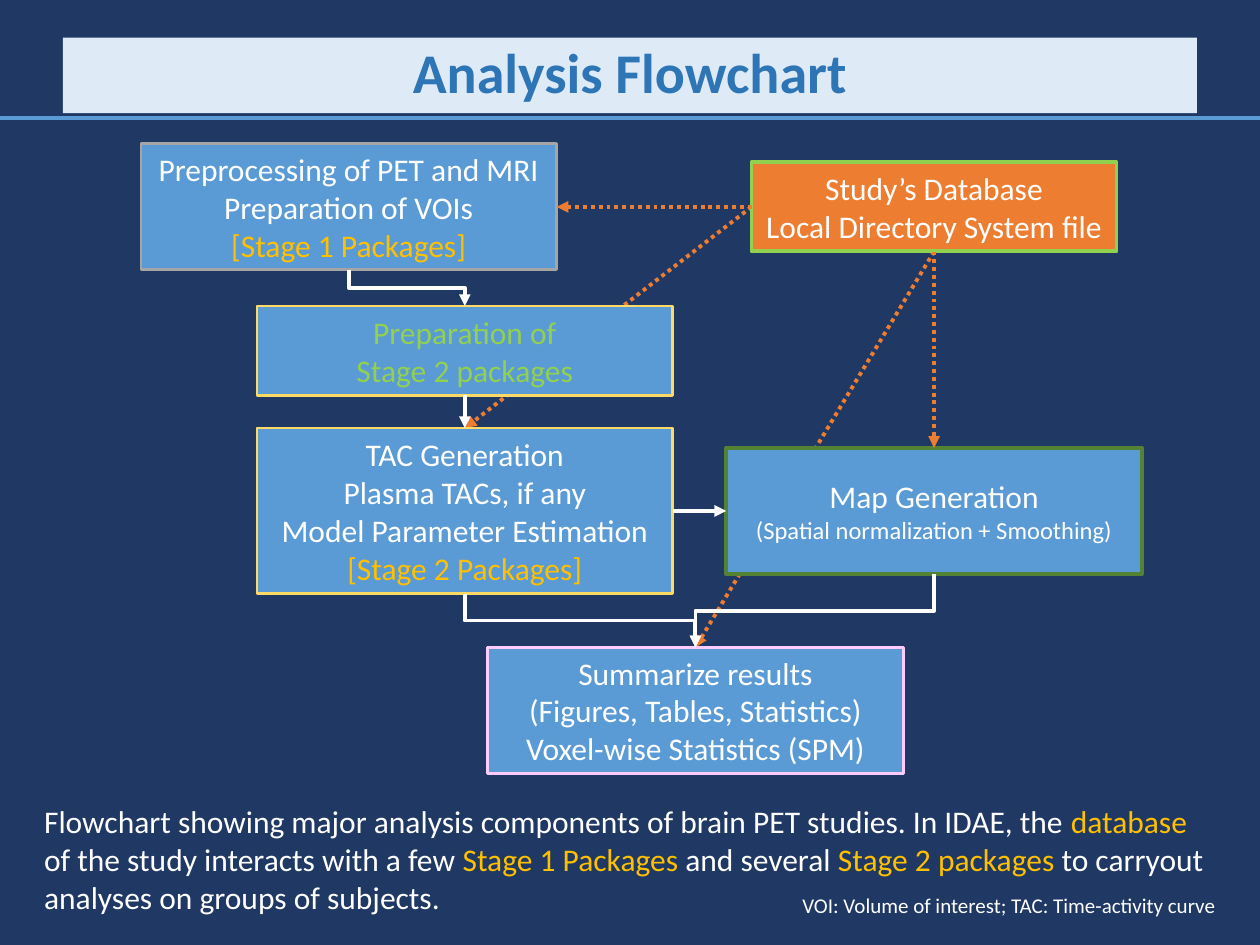
from pptx import Presentation
from pptx.dml.color import RGBColor
from pptx.enum.dml import MSO_LINE_DASH_STYLE as Dash
from pptx.enum.shapes import MSO_CONNECTOR as Conn, MSO_SHAPE as Shape
from pptx.enum.text import MSO_ANCHOR as Anchor, PP_ALIGN as Align
from pptx.oxml.ns import qn
from pptx.util import Cm, Pt
from lxml.etree import SubElement

COLORS = {
    "navy": "203864", "blue": "5B9BD5", "pale": "DEEBF7", "title": "2E75B6",
    "white": "FFFFFF", "gold": "FFC000", "lime": "92D050", "orange": "ED7D31",
    "grey": "A5A5A5", "yellow": "FFD966", "green": "548235", "pink": "FFCCFF",
}
TOP, LEFT, BOTTOM, RIGHT = range(4)


def rgb(name):
    return RGBColor.from_string(COLORS[name])


def write(tf, paras, size=18, color="white", bold=False, align=Align.CENTER,
          anchor=Anchor.MIDDLE, spacing=None, wrap=True):
    """Fill a text frame; a paragraph is a list of (text, format overrides)."""
    tf.word_wrap, tf.vertical_anchor = wrap, anchor
    for i, runs in enumerate(paras):
        p = tf.add_paragraph() if i else tf.paragraphs[0]
        p.alignment = align
        if spacing:
            p.line_spacing = spacing
        for text, fmt in [(runs, {})] if isinstance(runs, str) else runs:
            r = p.add_run()
            r.text = text
            r.font.name, r.font.bold = "Calibri", bold
            r.font.size = Pt(fmt.get("size", size))
            r.font.color.rgb = rgb(fmt.get("color", color))


def site(sp, side):
    """Middle of one side of a box."""
    x = {LEFT: 0, RIGHT: sp.width}.get(side, sp.width // 2)
    y = {TOP: 0, BOTTOM: sp.height}.get(side, sp.height // 2)
    return sp.left + x, sp.top + y


class Flowchart:
    def __init__(self, slide):
        self.s = slide
        slide.background.fill.solid()
        slide.background.fill.fore_color.rgb = rgb("navy")

    def box(self, x, y, w, h, paras, fill="blue", line=None, weight=1.5, **fmt):
        sp = self.s.shapes.add_shape(Shape.RECTANGLE, Cm(x), Cm(y), Cm(w), Cm(h))
        sp.shadow.inherit = False
        sp.fill.solid()
        sp.fill.fore_color.rgb = rgb(fill)
        if line:
            sp.line.color.rgb, sp.line.width = rgb(line), Pt(weight)
        else:
            sp.line.fill.background()
        write(sp.text_frame, paras, **fmt)
        return sp

    def text(self, x, y, w, h, paras, **fmt):
        sp = self.s.shapes.add_textbox(Cm(x), Cm(y), Cm(w), Cm(h))
        write(sp.text_frame, paras, anchor=Anchor.TOP, **fmt)

    def line(self, kind, start, end, color, arrow=True):
        cxn = self.s.shapes.add_connector(kind, *start, *end)
        cxn.line.color.rgb, cxn.line.width = rgb(color), Pt(2.25)
        if arrow:
            SubElement(cxn.line._get_or_add_ln(), qn("a:tailEnd"), type="triangle")
        SubElement(cxn._element.spPr, qn("a:effectLst"))
        return cxn

    def arrow(self, a, a_side, b, b_side, color="white", dotted=False, behind=False):
        cxn = self.line(Conn.STRAIGHT, site(a, a_side), site(b, b_side), color)
        cxn.begin_connect(a, a_side)
        cxn.end_connect(b, b_side)
        if dotted:
            cxn.line.dash_style = Dash.ROUND_DOT
        if behind:
            self.s.shapes._spTree.insert(2, cxn._element)

    def elbow(self, a, b):
        """Down, across and down again: an elbow turned by a quarter."""
        (x1, y1), (x2, y2) = site(a, BOTTOM), site(b, TOP)
        w, h = y2 - y1, abs(x2 - x1)
        left, top = (x1 + x2 - w) // 2, (y1 + y2 - h) // 2
        cxn = self.line(Conn.ELBOW, (left, top), (left + w, top + h), "white")
        xfrm = cxn._element.spPr.find(qn("a:xfrm"))
        if x2 > x1:
            xfrm.set("rot", "16200000")
            xfrm.set("flipH", "1")
        else:
            xfrm.set("rot", "5400000")


def main():
    prs = Presentation()
    prs.slide_width, prs.slide_height = Cm(25.4), Cm(19.05)
    chart = Flowchart(prs.slides.add_slide(prs.slide_layouts[6]))
    gold = {"color": "gold"}

    # Title and rule
    chart.line(Conn.STRAIGHT, (0, Cm(2.38)), (prs.slide_width, Cm(2.38)), "blue", arrow=False)
    chart.box(1.27, 0.76, 22.86, 1.52, ["Analysis Flowchart"], fill="pale",
              size=32, color="title", bold=True, spacing=0.9)

    # Boxes
    w, h = 8.38, 2.54
    stage1 = chart.box(2.84, 2.9, w, h, [
        "Preprocessing of PET and MRI", "Preparation of VOIs",
        [("[Stage 1 Packages]", gold)]], line="grey")
    prep = chart.box(5.18, 6.17, w, 1.8, ["Preparation of", "Stage 2 packages"],
                     line="yellow", color="lime")
    tac = chart.box(5.18, 8.63, w, 3.34, [
        "TAC Generation", "Plasma TACs, if any", "Model Parameter Estimation",
        [("[Stage 2 Packages]", gold)]], line="yellow")
    maps = chart.box(14.64, 9.03, w, h, [
        "Map Generation", [("(Spatial normalization + Smoothing)", {"size": 14})]],
        line="green", weight=2.25)
    summary = chart.box(9.83, 13.05, w, h, [
        "Summarize results",
        "(Figures, Tables, Statistics) Voxel-wise Statistics (SPM)"], line="pink")
    database = chart.box(15.15, 3.27, 7.36, 1.8, [
        "Study’s Database", "Local Directory System file"],
        fill="orange", line="lime", weight=2.25, wrap=False)

    # Main flow
    chart.elbow(stage1, prep)
    chart.arrow(prep, BOTTOM, tac, TOP)
    chart.arrow(tac, RIGHT, maps, LEFT)
    chart.elbow(tac, summary)
    chart.elbow(maps, summary)

    # Database links
    for a_side, target, b_side, behind in [
            (LEFT, stage1, RIGHT, False), (BOTTOM, maps, TOP, False),
            (LEFT, tac, TOP, True), (BOTTOM, summary, TOP, True)]:
        chart.arrow(database, a_side, target, b_side, "orange", dotted=True, behind=behind)

    # Caption and abbreviations
    chart.text(0.64, 16.05, 24.13, 2.56, [[
        ("Flowchart showing major analysis components of brain PET studies. In IDAE, the ", {}),
        ("database ", gold), ("of the study interacts with a few ", {}),
        ("Stage 1 Packages ", gold), ("and several ", {}),
        ("Stage 2 packages ", gold),
        ("to carryout analyses on groups of subjects.", {})]], align=Align.LEFT)
    chart.text(15.82, 17.86, 8.94, 0.77, [
        "VOI: Volume of interest; TAC: Time-activity curve"],
        size=12, align=Align.RIGHT, wrap=False)

    prs.save("out.pptx")


if __name__ == "__main__":
    main()
